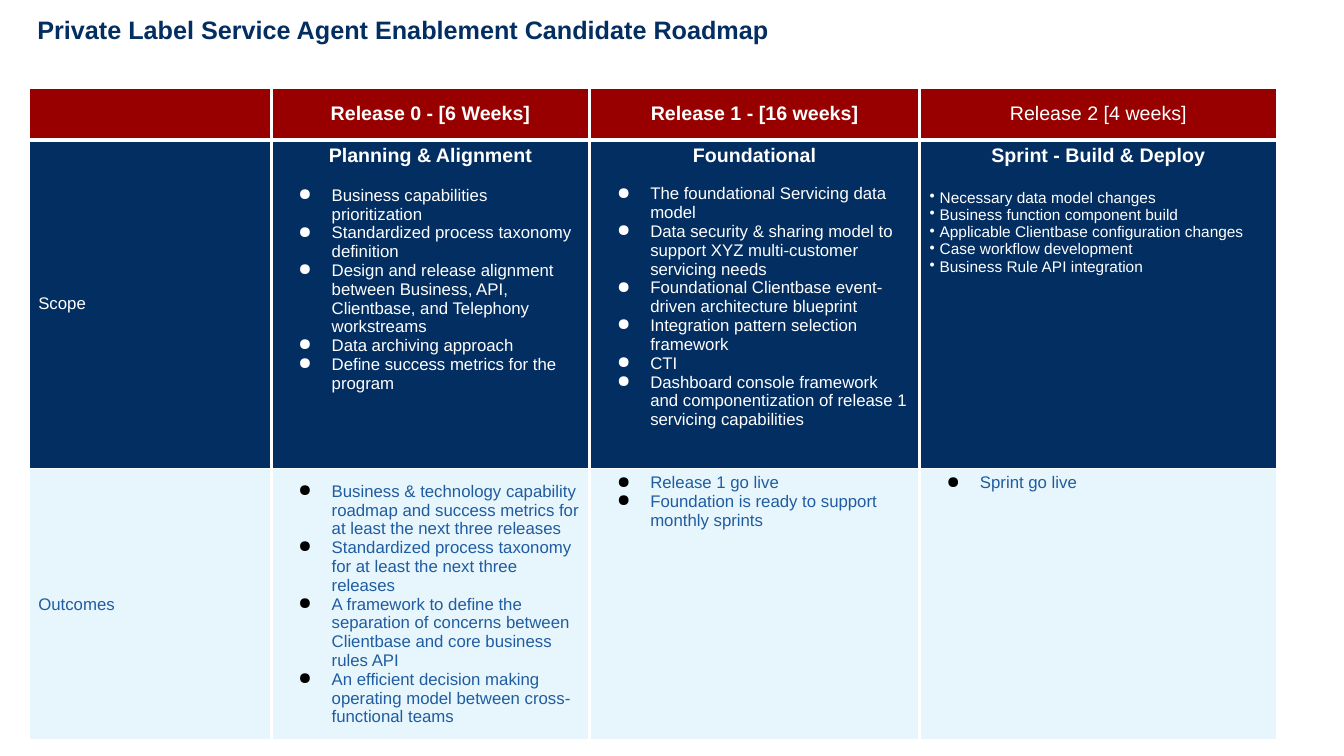
from dataclasses import dataclass

from lxml import etree
from pptx import Presentation
from pptx import util as u
from pptx.dml.color import RGBColor
from pptx.enum import text
from pptx.oxml.ns import qn


@dataclass(frozen=True)
class Theme:
    """Colours, font and type sizes of the deck."""
    navy: str = "032E61"
    red: str = "980000"
    blue: str = "205CA0"
    pale: str = "E7F6FC"
    white: str = "FFFFFF"
    black: str = "000000"
    font: str = "Arial"
    title: float = 18
    heading: float = 14
    body: float = 12
    small: float = 11
    tight: float = 0.9


@dataclass(frozen=True)
class Box:
    """A region given in inches."""
    left: float
    top: float
    width: float
    height: float

    def emu(self):
        """Return the four lengths for a shape call."""
        return [u.Inches(n) for n in (self.left, self.top, self.width, self.height)]


@dataclass(frozen=True)
class Bullet:
    """Mark and hanging indent of a list."""
    mark: str
    indent: float
    hang: float


THEME = Theme()
WIDE = Bullet("●", 0.5, 0.33)
NARROW = Bullet("•", 0.1, 0.1)
COLUMNS = (2.41, 3.16, 3.27, 3.55)
ROWS = (0.51, 3.26, 2.69)
TITLE = "Private Label Service Agent Enablement Candidate Roadmap"
RELEASES = (
    ("Release 0 - [6 Weeks]", True),
    ("Release 1 - [16 weeks]", True),
    ("Release 2 [4 weeks]", False),
)
SCOPES = (
    ("Planning & Alignment", 13.5, WIDE, THEME.body, (
        "Business capabilities prioritization",
        "Standardized process taxonomy definition",
        "Design and release alignment between Business, API, Clientbase, and Telephony workstreams",
        "Data archiving approach",
        "Define success metrics for the program",
    )),
    ("Foundational", 12.5, WIDE, THEME.body, (
        "The foundational Servicing data model",
        "Data security & sharing model to support XYZ multi-customer servicing needs",
        "Foundational Clientbase event-driven architecture blueprint",
        "Integration pattern selection framework",
        "CTI",
        "Dashboard console framework and componentization of release 1 servicing capabilities",
    )),
    ("Sprint - Build & Deploy", 16, NARROW, THEME.small, (
        "Necessary data model changes",
        "Business function component build",
        "Applicable Clientbase configuration changes",
        "Case workflow development",
        "Business Rule API integration",
    )),
)
OUTCOMES = (
    (
        "Business & technology capability roadmap and success metrics for at least the next three releases",
        "Standardized process taxonomy for at least the next three releases",
        "A framework to define the separation of concerns between Clientbase and core business rules API",
        "An efficient decision making operating model between cross-functional teams",
    ),
    ("Release 1 go live", "Foundation is ready to support monthly sprints"),
    ("Sprint go live",),
)


def write(para, words, size, color, bold=False):
    """Add one styled run to a paragraph."""
    span = para.add_run()
    span.text = words
    span.font.name = THEME.font
    span.font.size = u.Pt(size)
    span.font.bold = bold
    span.font.color.rgb = RGBColor.from_string(color)


def next_para(frame):
    """Return the unused first paragraph, or a new one."""
    first = frame.paragraphs[0]
    return frame.add_paragraph() if first.runs else first


def write_list(frame, items, bullet, size, color, mark_color):
    """Add a bulleted list to a text frame."""
    for item in items:
        para = next_para(frame)
        props = para._p.get_or_add_pPr()
        props.set("marL", str(u.Inches(bullet.indent)))
        props.set("indent", str(-u.Inches(bullet.hang)))
        tint = etree.SubElement(props, qn("a:buClr"))
        etree.SubElement(tint, qn("a:srgbClr"), val=mark_color)
        etree.SubElement(props, qn("a:buChar"), char=bullet.mark)
        write(para, item, size, color)


def style_cell(cell, fill, top=1, bottom=1, middle=False):
    """Set the borders, fill and anchor of a cell."""
    props = cell._tc.get_or_add_tcPr()
    for side, points in (("L", 2.25), ("R", 2.25), ("T", top), ("B", bottom)):
        line = etree.SubElement(props, qn(f"a:ln{side}"), w=str(u.Pt(points)))
        paint = etree.SubElement(line, qn("a:solidFill"))
        etree.SubElement(paint, qn("a:srgbClr"), val=THEME.white)
    cell.fill.solid()
    cell.fill.fore_color.rgb = RGBColor.from_string(fill)
    cell.vertical_anchor = text.MSO_ANCHOR.MIDDLE if middle else text.MSO_ANCHOR.TOP


def add_title(page, box):
    """Place the slide title in its box."""
    frame = page.shapes.add_textbox(*box.emu()).text_frame
    frame.word_wrap = True
    frame.margin_left = frame.margin_right = frame.margin_top = frame.margin_bottom = 0
    para = frame.paragraphs[0]
    para.line_spacing = THEME.tight
    write(para, TITLE, THEME.title, THEME.navy, True)


def fill_header(cells):
    """Fill the row of release names."""
    for cell in cells:
        style_cell(cell, THEME.red, bottom=3, middle=True)
    for cell, (name, bold) in zip(cells[1:], RELEASES):
        para = cell.text_frame.paragraphs[0]
        para.alignment = text.PP_ALIGN.CENTER
        para.line_spacing = THEME.tight
        write(para, name, THEME.heading, THEME.white, bold)


def fill_scope(cells):
    """Fill the row of headed scope lists."""
    style_cell(cells[0], THEME.navy, top=3, middle=True)
    label = cells[0].text_frame.paragraphs[0]
    label.line_spacing = THEME.tight
    write(label, "Scope", THEME.body, THEME.white)
    for cell, (heading, gap, bullet, size, items) in zip(cells[1:], SCOPES):
        style_cell(cell, THEME.navy, top=3)
        para = cell.text_frame.paragraphs[0]
        para.alignment = text.PP_ALIGN.CENTER
        para.space_after = u.Pt(gap)
        write(para, heading, THEME.heading, THEME.white, True)
        write_list(cell.text_frame, items, bullet, size, THEME.white, THEME.white)


def fill_outcomes(cells):
    """Fill the row of outcome lists."""
    for column, cell in enumerate(cells):
        style_cell(cell, THEME.pale, middle=column < 2)
    write(cells[0].text_frame.paragraphs[0], "Outcomes", THEME.body, THEME.blue)
    for cell, items in zip(cells[1:], OUTCOMES):
        write_list(cell.text_frame, items, WIDE, THEME.body, THEME.blue, THEME.black)


def add_roadmap(page, box):
    """Place the roadmap table, its grid scaled to the box."""
    table = page.shapes.add_table(len(ROWS), len(COLUMNS), *box.emu()).table
    table.first_row = table.horz_banding = False
    for column, share in zip(table.columns, COLUMNS):
        column.width = u.Inches(box.width * share / sum(COLUMNS))
    for row, share in zip(table.rows, ROWS):
        row.height = u.Inches(box.height * share / sum(ROWS))
    for row, fill_row in zip(table.rows, (fill_header, fill_scope, fill_outcomes)):
        fill_row(list(row.cells))


def main():
    """Build and save the deck."""
    deck = Presentation()
    deck.slide_width, deck.slide_height = u.Inches(13.33), u.Inches(7.5)
    page = deck.slides.add_slide(deck.slide_layouts[6])
    add_roadmap(page, Box(0.28, 0.88, sum(COLUMNS), sum(ROWS)))
    add_title(page, Box(0.37, 0.18, 12.59, 0.55))
    deck.save("out.pptx")


if __name__ == "__main__":
    main()
